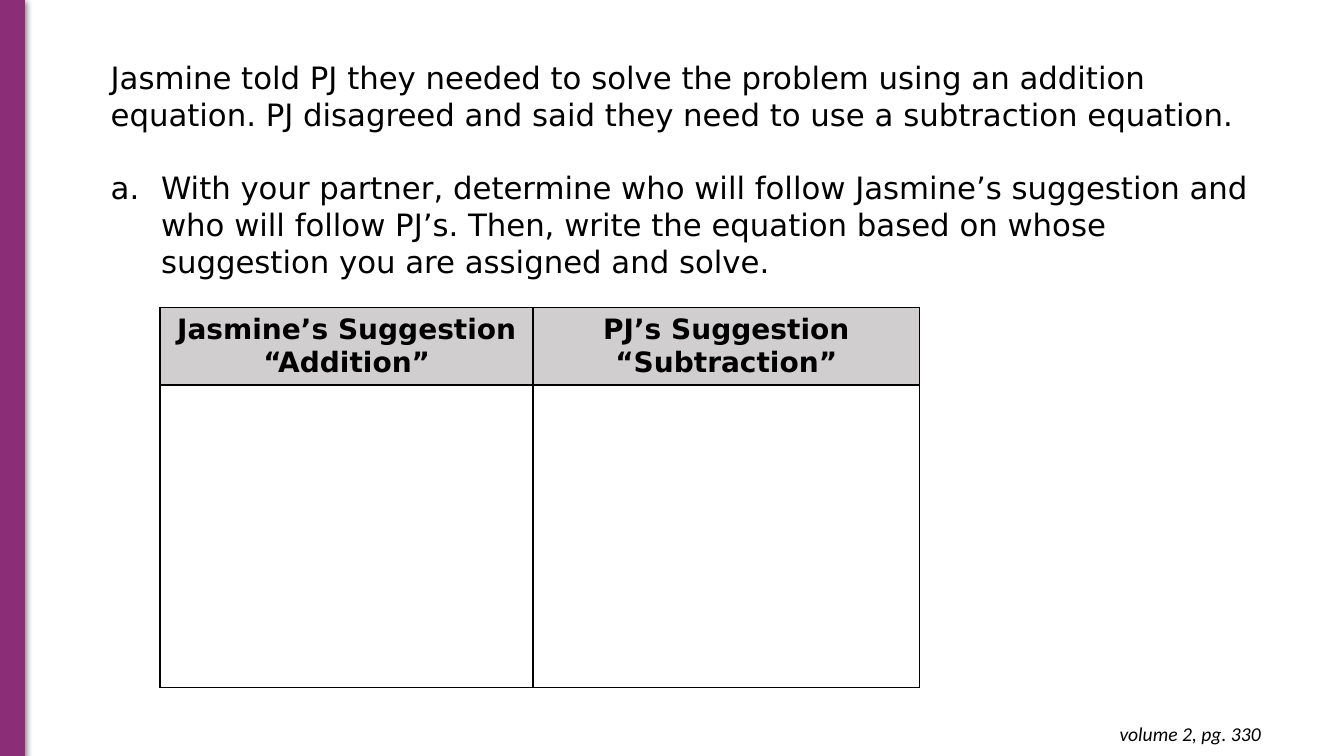
from lxml.etree import SubElement
from pptx import Presentation
from pptx.dml.color import RGBColor
from pptx.enum.shapes import MSO_SHAPE
from pptx.enum.text import MSO_ANCHOR, PP_ALIGN
from pptx.oxml.ns import qn
from pptx.util import Cm, Pt

PURPLE = RGBColor(0x8B, 0x2D, 0x77)
BLACK = RGBColor(0, 0, 0)
HEADER_GREY = RGBColor(0xD0, 0xCE, 0xCE)
BODY_FONT = "DejaVu Sans"

INTRO = (
    "Jasmine told PJ they needed to solve the problem using an addition equation. "
    "PJ disagreed and said they need to use a subtraction equation."
)
TASK = (
    "With your partner, determine who will follow Jasmine’s suggestion and who will "
    "follow PJ’s. Then, write the equation based on whose suggestion you are assigned "
    "and solve."
)
HEADERS = ["Jasmine’s Suggestion “Addition”", "PJ’s Suggestion\n“Subtraction”"]
COLUMN_WIDTHS = [Cm(9.4), Cm(9.73)]
ROW_HEIGHTS = [Cm(1.95), Cm(7.62)]


def style_paragraph(para, size, font=BODY_FONT, bold=False, italic=False):
    for span in para.runs:
        span.font.name = font
        span.font.size = Pt(size)
        span.font.bold = bold
        span.font.italic = italic
        span.font.color.rgb = BLACK


def add_text_box(page, left, top, width, height):
    box = page.shapes.add_textbox(left, top, width, height)
    box.text_frame.word_wrap = True
    return box


def add_side_bar(page, height):
    bar = page.shapes.add_shape(MSO_SHAPE.RECTANGLE, 0, 0, Cm(0.62), height)
    bar.fill.solid()
    bar.fill.fore_color.rgb = PURPLE
    bar.line.color.rgb = PURPLE
    bar.line.width = Pt(0.75)
    bar.shadow.inherit = False
    effects = bar._element.spPr.find(qn("a:effectLst"))
    shadow = SubElement(
        effects, qn("a:outerShdw"),
        blurRad=str(Pt(4.5)), dist=str(Pt(1.5)), dir="5400000", rotWithShape="0",
    )
    color = SubElement(shadow, qn("a:srgbClr"), val=str(BLACK))
    SubElement(color, qn("a:alpha"), val="50000")


def add_letter_bullet(para, indent):
    properties = para._p.get_or_add_pPr()
    properties.set("marL", str(indent))
    properties.set("indent", str(-indent))
    color = SubElement(properties, qn("a:buClr"))
    SubElement(color, qn("a:srgbClr"), val=str(BLACK))
    SubElement(properties, qn("a:buFont"), typeface=BODY_FONT)
    SubElement(properties, qn("a:buAutoNum"), type="alphaLcPeriod")


def add_problem(page):
    box = add_text_box(page, Cm(2.54), Cm(1.35), Cm(29.21), Cm(5.89))
    intro = box.text_frame.paragraphs[0]
    intro.text = INTRO
    task = box.text_frame.add_paragraph()
    task.text = TASK
    task.space_before = Pt(26)
    add_letter_bullet(task, Cm(1.27))
    for para in (intro, task):
        style_paragraph(para, 22)


def add_cell_borders(cell):
    properties = cell._tc.get_or_add_tcPr()
    for position, side in enumerate(("a:lnL", "a:lnR", "a:lnT", "a:lnB")):
        line = properties.makeelement(qn(side), {"w": str(Pt(1.5))})
        fill = SubElement(line, qn("a:solidFill"))
        SubElement(fill, qn("a:srgbClr"), val=str(BLACK))
        properties.insert(position, line)


def style_cell(cell):
    cell.margin_left = cell.margin_right = Cm(0.18)
    cell.margin_top = cell.margin_bottom = Cm(0.13)
    cell.vertical_anchor = MSO_ANCHOR.MIDDLE
    cell.fill.background()
    add_cell_borders(cell)


def add_suggestion_table(page):
    frame = page.shapes.add_table(
        len(ROW_HEIGHTS), len(COLUMN_WIDTHS), Cm(4.04), Cm(7.75),
        sum(COLUMN_WIDTHS), sum(ROW_HEIGHTS),
    )
    table = frame.table
    table.first_row = False
    table.horz_banding = False
    for column, width in zip(table.columns, COLUMN_WIDTHS):
        column.width = width
    for row, height in zip(table.rows, ROW_HEIGHTS):
        row.height = height
    for cell in table.iter_cells():
        style_cell(cell)
    for cell, header in zip(table.rows[0].cells, HEADERS):
        cell.fill.solid()
        cell.fill.fore_color.rgb = HEADER_GREY
        cell.text_frame.text = header
        for para in cell.text_frame.paragraphs:
            para.alignment = PP_ALIGN.CENTER
            style_paragraph(para, 20, bold=True)


def add_page_reference(page):
    box = add_text_box(page, Cm(24.71), Cm(17.93), Cm(7.32), Cm(1.12))
    frame = box.text_frame
    frame.margin_left = frame.margin_right = Cm(0.25)
    frame.margin_top = frame.margin_bottom = Cm(0.25)
    para = frame.paragraphs[0]
    para.text = "volume 2, pg. 330"
    para.alignment = PP_ALIGN.RIGHT
    style_paragraph(para, 14, font="Calibri", italic=True)


def main():
    deck = Presentation()
    deck.slide_width = Cm(33.87)
    deck.slide_height = Cm(19.05)
    page = deck.slides.add_slide(deck.slide_layouts[6])
    add_side_bar(page, deck.slide_height)
    add_problem(page)
    add_page_reference(page)
    add_suggestion_table(page)
    deck.save("out.pptx")


if __name__ == "__main__":
    main()
